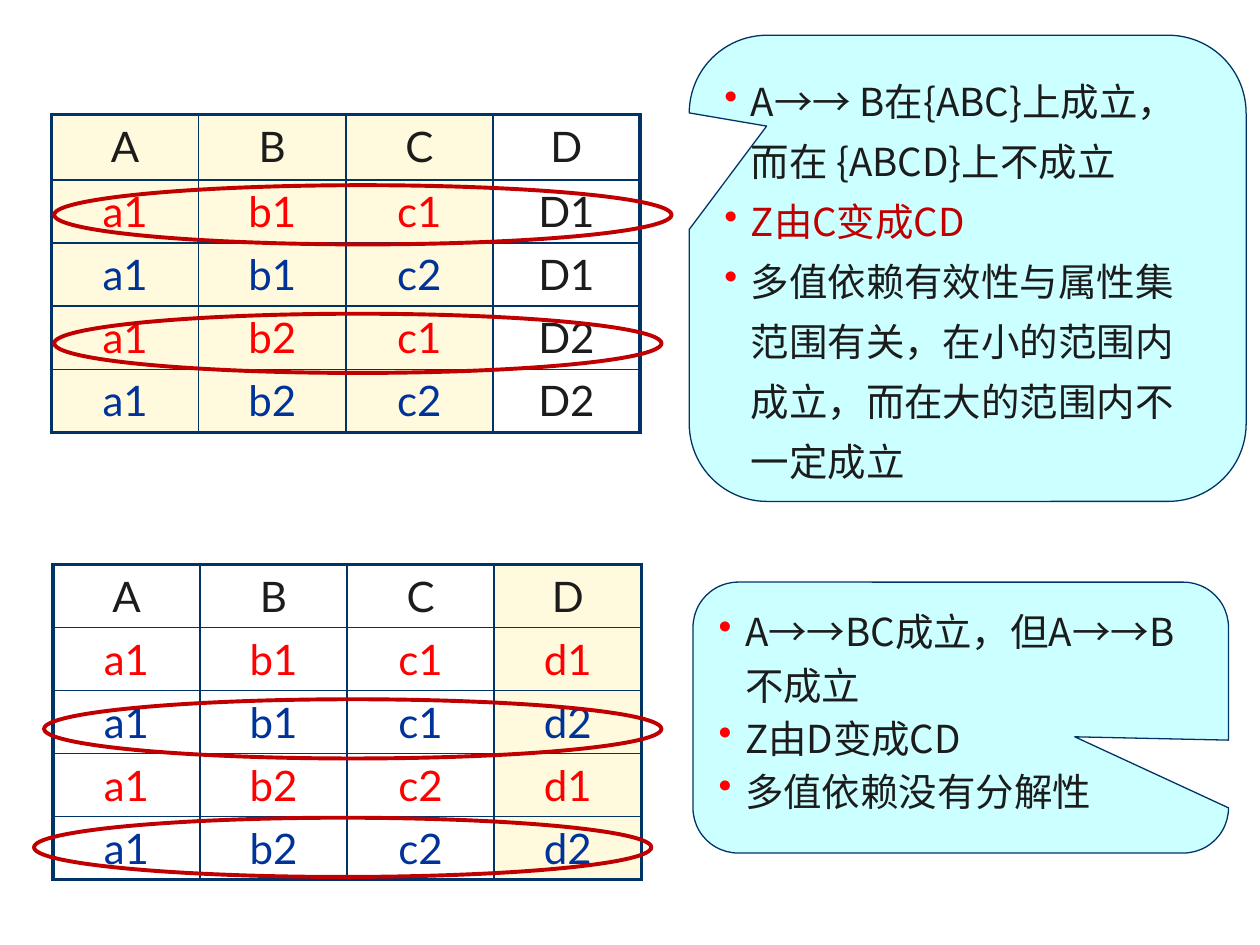
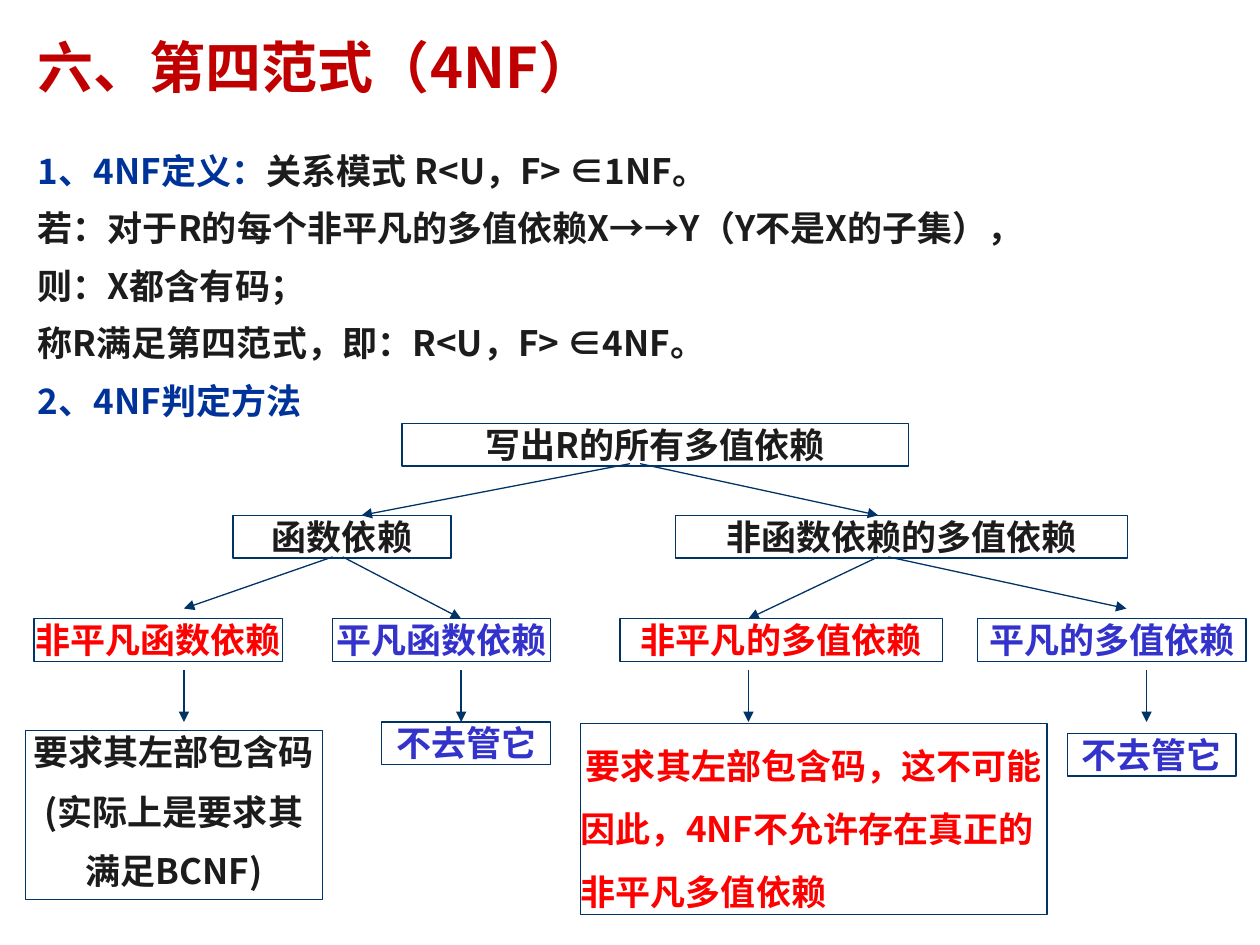
import pptx
import pptx.dml.color
import pptx.enum.shapes
import pptx.enum.text
import pptx.oxml
import pptx.oxml.ns
import pptx.util
from lxml import etree
from pptx.util import Inches

COLORS = {
    "ink": "1C1C1C",
    "navy": "003366",
    "blue": "003399",
    "violet": "3333CC",
    "red": "FF0000",
    "crimson": "C00000",
    "cyan": "CCFFFF",
    "cream": "FFF9DD",
}
CJK_FONT = "Noto Sans CJK SC"
TABLE_FONT = "Lato"
ALIGN = pptx.enum.text.PP_ALIGN
ANCHOR = pptx.enum.text.MSO_ANCHOR
AUTO_SIZE = pptx.enum.text.MSO_AUTO_SIZE
SHAPE = pptx.enum.shapes.MSO_SHAPE


def rgb(color):
    return pptx.dml.color.RGBColor.from_string(COLORS[color])


def add_child(parent, tag, **attributes):
    return etree.SubElement(parent, pptx.oxml.ns.qn(tag), attributes)


def write_text(frame, paragraphs, size=20, font=CJK_FONT, color="ink", bold=False,
               align=ALIGN.LEFT, line_spacing=1.0, space_before=0, indent=0, bullet=None):
    """Each paragraph is a string or a list of (text, color) runs; align may be a list."""
    frame.word_wrap = True
    aligns = align if isinstance(align, list) else [align] * len(paragraphs)
    for index, runs in enumerate(paragraphs):
        paragraph = frame.paragraphs[0] if index == 0 else frame.add_paragraph()
        properties = paragraph._p.get_or_add_pPr()
        properties.set("marL", str(Inches(indent)))
        properties.set("indent", str(-Inches(indent)))
        if bullet:
            add_child(add_child(properties, "a:buClr"), "a:srgbClr", val=COLORS["red"])
            add_child(properties, "a:buChar", char=bullet)
        else:
            add_child(properties, "a:buNone")
        paragraph.alignment = aligns[index]
        paragraph.line_spacing = line_spacing
        paragraph.space_before = pptx.util.Pt(space_before if index else 0)
        for text, run_color in [(runs, color)] if isinstance(runs, str) else runs:
            run = paragraph.add_run()
            run.text = text
            run.font.size = pptx.util.Pt(size)
            run.font.bold = bold
            run.font.color.rgb = rgb(run_color)
            run.font.name = font
            add_child(run._r.get_or_add_rPr(), "a:ea", typeface=font)


class SlideBuilder:
    def __init__(self, presentation):
        self.presentation = presentation
        self.slide = None

    def new_slide(self, layout_index):
        layout = self.presentation.slide_layouts[layout_index]
        self.slide = self.presentation.slides.add_slide(layout)

    def placeholder(self, index, box, paragraphs, anchor, **text_format):
        shape = self.slide.placeholders[index]
        shape.left, shape.top, shape.width, shape.height = map(Inches, box)
        shape.text_frame.auto_size = AUTO_SIZE.NONE
        shape.text_frame.vertical_anchor = anchor
        write_text(shape.text_frame, paragraphs, bold=True, **text_format)

    def shape(self, kind, box, fill=None, line="navy", width=0.75):
        shape = self.slide.shapes.add_shape(kind, *map(Inches, box))
        shape.shadow.inherit = False
        if fill:
            shape.fill.solid()
            shape.fill.fore_color.rgb = rgb(fill)
        else:
            shape.fill.background()
        shape.line.color.rgb = rgb(line)
        shape.line.width = pptx.util.Pt(width)
        shape.text_frame.vertical_anchor = ANCHOR.TOP
        return shape

    def callout(self, box, adjustments, paragraphs, line_spacing):
        shape = self.shape(SHAPE.ROUNDED_RECTANGULAR_CALLOUT, box, fill="cyan")
        for index, value in enumerate(adjustments):
            shape.adjustments[index] = value
        write_text(shape.text_frame, paragraphs, size=22, line_spacing=line_spacing,
                   indent=0.21, bullet="•")

    def ring(self, left, top, width=4.9):
        self.shape(SHAPE.OVAL, (left, top, width, 0.47), line="crimson", width=2.25)

    def node(self, box, paragraphs, color="ink", align=ALIGN.CENTER, **text_format):
        shape = self.shape(SHAPE.RECTANGLE, box)
        frame = shape.text_frame
        frame.margin_left = frame.margin_right = frame.margin_top = frame.margin_bottom = 0
        frame.auto_size = AUTO_SIZE.SHAPE_TO_FIT_TEXT
        write_text(frame, paragraphs, color=color, bold=True, align=align, **text_format)

    def arrow(self, start_x, start_y, end_x, end_y):
        connector = self.slide.shapes.add_connector(
            pptx.enum.shapes.MSO_CONNECTOR.STRAIGHT,
            *map(Inches, (start_x, start_y, end_x, end_y)))
        connector.line.color.rgb = rgb("navy")
        connector.line.width = pptx.util.Pt(0.75)
        properties = connector.element.spPr
        add_child(properties.find(pptx.oxml.ns.qn("a:ln")), "a:tailEnd", type="triangle")
        add_child(properties, "a:effectLst")

    def relation_table(self, left, top, rows, shaded, plain="", header_height=0.5):
        """Rows of text; shaded and plain name columns by their header letter."""
        header = rows[0]
        heights = [header_height] + [0.5] * (len(rows) - 1)
        table = self.slide.shapes.add_table(
            len(rows), len(header),
            *map(Inches, (left, top, 4.67, sum(heights)))).table
        table.first_row = table.horz_banding = False
        for column in table.columns:
            column.width = Inches(4.67 / len(header))
        for row_index, values in enumerate(rows):
            table.rows[row_index].height = Inches(heights[row_index])
            row_color = "red" if row_index % 2 else "blue"
            for column_index, value in enumerate(values):
                name = header[column_index]
                cell = table.cell(row_index, column_index)
                outer_edges = {
                    "L": column_index == 0,
                    "R": column_index == len(header) - 1,
                    "T": row_index == 0,
                    "B": row_index == len(rows) - 1,
                }
                self.cell_borders(cell, outer_edges)
                if name in shaded:
                    cell.fill.solid()
                    cell.fill.fore_color.rgb = rgb("cream")
                else:
                    cell.fill.background()
                color = "ink" if row_index == 0 or name in plain else row_color
                write_text(cell.text_frame, [value], size=24, font=TABLE_FONT,
                           color=color, align=ALIGN.CENTER)

    def cell_borders(self, cell, outer_edges):
        properties = cell._tc.get_or_add_tcPr()
        for side, is_outer in outer_edges.items():
            width = pptx.util.Pt(2.25 if is_outer else 1)
            border = add_child(properties, f"a:ln{side}", w=str(width))
            add_child(add_child(border, "a:solidFill"), "a:srgbClr", val=COLORS["navy"])


def build_dependency_examples(builder):
    builder.new_slide(6)

    # Explanations
    builder.callout(
        (5.47, 0.28, 4.42, 3.7), (-0.361, -0.305, 0.167),
        ["A→→ B在{ABC}上成立，而在 {ABCD}上不成立",
         [("Z由C变成CD", "crimson")],
         "多值依赖有效性与属性集范围有关，在小的范围内成立，而在大的范围内不一定成立"],
        line_spacing=1.3)
    builder.callout(
        (5.5, 4.62, 4.25, 2.15), (0.213, 0.071, 0.167),
        ["A→→BC成立，但A→→B 不成立", "Z由D变成CD", "多值依赖没有分解性"],
        line_spacing=1.15)

    # Relations
    builder.relation_table(
        0.41, 0.91,
        [["A", "B", "C", "D"],
         ["a1", "b1", "c1", "D1"],
         ["a1", "b1", "c2", "D1"],
         ["a1", "b2", "c1", "D2"],
         ["a1", "b2", "c2", "D2"]],
        shaded="ABC", plain="D", header_height=0.52)
    builder.relation_table(
        0.42, 4.48,
        [["A", "B", "C", "D"],
         ["a1", "b1", "c1", "d1"],
         ["a1", "b1", "c1", "d2"],
         ["a1", "b2", "c2", "d1"],
         ["a1", "b2", "c2", "d2"]],
        shaded="D")

    # Highlighted tuples
    builder.ring(0.43, 1.47)
    builder.ring(0.43, 2.49, width=4.82)
    builder.ring(0.35, 5.55)
    builder.ring(0.27, 6.49)


def build_fourth_normal_form(builder):
    builder.new_slide(1)

    # Title and definition
    builder.placeholder(0, (0.2, 0.29, 8.52, 0.55), ["六、第四范式（4NF）"],
                        ANCHOR.BOTTOM, size=32, color="crimson")
    builder.placeholder(
        1, (0.2, 1.07, 9.53, 2.44),
        [[("1、4NF定义：", "blue"), ("关系模式 R<U，F> ∈1NF。", "ink")],
         "若：对于R的每个非平凡的多值依赖X→→Y（Y不是X的子集），",
         "则：X都含有码；",
         "称R满足第四范式，即：R<U，F> ∈4NF。",
         [("2、4NF判定方法", "blue")]],
        ANCHOR.TOP, line_spacing=1.2, space_before=4, indent=0.38)

    # Decision tree: left, top, width, text, color
    for left, top, width, text, color in [
        (3.19, 3.36, 4.02, "写出R的所有多值依赖", "ink"),
        (1.85, 4.09, 1.73, "函数依赖", "ink"),
        (5.36, 4.09, 3.59, "非函数依赖的多值依赖", "ink"),
        (0.27, 4.91, 1.97, "非平凡函数依赖", "red"),
        (2.64, 4.91, 1.73, "平凡函数依赖", "violet"),
        (4.92, 4.91, 2.56, "非平凡的多值依赖", "red"),
        (7.76, 4.91, 2.13, "平凡的多值依赖", "violet"),
        (3.03, 5.73, 1.34, "不去管它", "violet"),
        (8.47, 5.82, 1.34, "不去管它", "violet"),
    ]:
        builder.node((left, top, width, 0.34), [text], color)

    # Conclusions
    builder.node((0.2, 5.8, 2.36, 1.34),
                 ["要求其左部包含码", "(实际上是要求其", "满足BCNF)"], space_before=10)
    builder.node((4.61, 5.74, 3.7, 1.52),
                 ["要求其左部包含码，这不可能", "因此，4NF不允许存在真正的非平凡多值依赖"],
                 "red", align=[ALIGN.CENTER, ALIGN.LEFT], line_spacing=1.5)

    # Branches, then straight drops to the bottom row
    for branch in [
        (5, 3.68, 2.87, 4.09), (5.08, 3.68, 6.97, 4.09),
        (2.64, 4.42, 1.46, 4.83), (2.72, 4.42, 3.66, 4.91),
        (6.97, 4.42, 5.94, 4.91), (7.05, 4.42, 8.94, 4.83),
    ]:
        builder.arrow(*branch)
    for x in (1.46, 3.66, 5.94, 9.1):
        builder.arrow(x, 5.32, x, 5.73)


def main():
    presentation = pptx.Presentation()
    presentation.slide_width = Inches(10)
    presentation.slide_height = Inches(7.5)
    builder = SlideBuilder(presentation)
    build_dependency_examples(builder)
    build_fourth_normal_form(builder)
    presentation.save("out.pptx")


if __name__ == "__main__":
    main()
